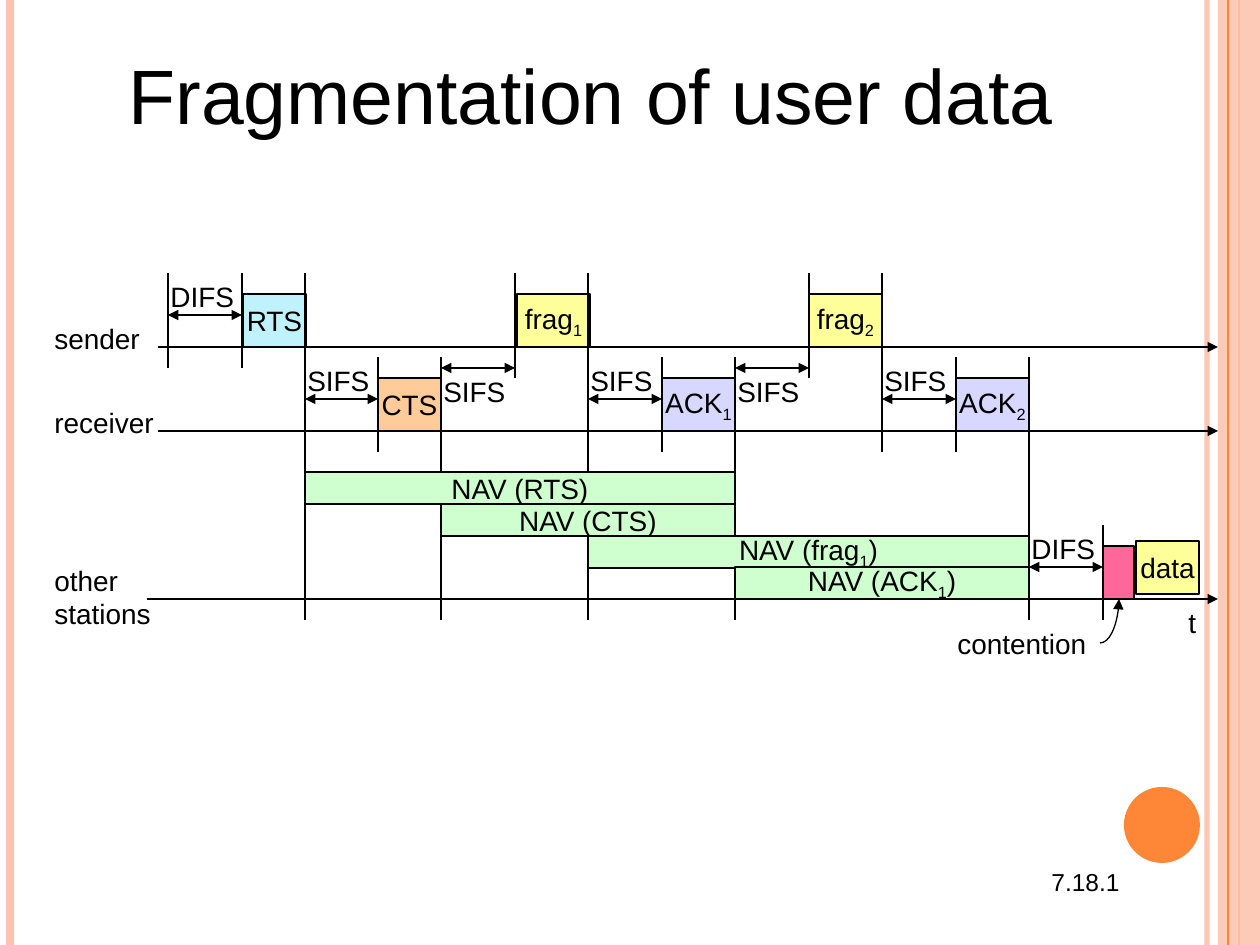
from dataclasses import dataclass
from typing import Any

import pptx
import pptx.dml.color
import pptx.enum.shapes
import pptx.enum.text
import pptx.oxml.ns
import pptx.util
from lxml import etree

UNIT = pptx.util.Inches(1) / 126
COLORS = {
    "black": "000000", "peach": "FEC3AE", "orange": "FE8637",
    "yellow": "FFFF99", "lilac": "D7D7FF", "cyan": "8BE7F9",
    "apricot": "FFCC99", "pink": "FF6699", "green": "CFFFCF",
}
SHAPE = pptx.enum.shapes.MSO_SHAPE
LINK = pptx.enum.shapes.MSO_CONNECTOR
ALIGN = pptx.enum.text.PP_ALIGN
ANCHOR = pptx.enum.text.MSO_ANCHOR
SIZE = pptx.enum.text.MSO_AUTO_SIZE


@dataclass(frozen=True)
class Line:
    x1: int
    y1: int
    x2: int
    y2: int
    color: str = "black"
    width: float = 0.75
    ends: tuple[str, ...] = ()
    alpha: int = 100
    kind: Any = LINK.STRAIGHT


@dataclass(frozen=True)
class Box:
    x: int
    y: int
    w: int
    h: int
    color: str
    text: str = ""
    alpha: int = 100
    edge: bool = True
    kind: Any = SHAPE.RECTANGLE


@dataclass(frozen=True)
class Label:
    x: int
    y: int
    w: int
    h: int
    text: str
    size: int = 16


@dataclass(frozen=True)
class Gap:
    x1: int
    x2: int
    y: int
    text: str
    drop: int = -42


RAILS = [
    Line(1207, 0, 1207, 945, "peach", 3, alpha=93),
    Line(10, 0, 10, 945, "peach", 4.5),
    Line(1239, 0, 1239, 945, "orange", 1.5),
]
BAND = Box(1218, 0, 42, 945, "peach", alpha=87, edge=False)
EDGE = Line(1228, 0, 1228, 945, "orange")
DISC = Box(1124, 787, 76, 76, "orange", edge=False, kind=SHAPE.OVAL)
AXES = [Line(x, y, 1218, y, ends=("tailEnd",))
        for x, y in [(158, 347), (158, 431), (147, 599)]]
FRAMES = [
    Box(243, 294, 63, 53, "cyan", "RTS", 54),
    Box(517, 294, 73, 53, "yellow", "frag_1"),
    Box(809, 294, 73, 53, "yellow", "frag_2"),
    Box(378, 378, 63, 53, "apricot", "CTS"),
    Box(662, 378, 73, 53, "lilac", "ACK_1"),
    Box(956, 378, 73, 53, "lilac", "ACK_2"),
    Box(1103, 546, 31, 53, "pink"),
    Box(1136, 541, 63, 53, "yellow", "data"),
]
MARKS = [Line(x, low, x, top) for x, top, low in [
    (168, 273, 368), (242, 273, 368), (305, 273, 620), (378, 357, 452),
    (441, 357, 620), (515, 273, 378), (588, 273, 620), (662, 357, 452),
    (735, 357, 620), (809, 273, 378), (882, 273, 452), (956, 357, 452),
    (1029, 357, 620), (1103, 525, 620),
]]
NAVS = [Box(x1, round(472.5 + 31.5 * row), x2 - x1, 32, "green", f"NAV ({name})")
        for row, (x1, x2, name) in enumerate([
            (305, 735, "RTS"), (441, 735, "CTS"),
            (588, 1029, "frag_1"), (735, 1029, "ACK_1"),
        ])]
GAPS = [
    Gap(168, 242, 315, "DIFS"), Gap(305, 378, 399, "SIFS"),
    Gap(441, 515, 368, "SIFS", 0), Gap(588, 662, 399, "SIFS"),
    Gap(735, 809, 368, "SIFS", 0), Gap(882, 956, 399, "SIFS"),
    Gap(1029, 1103, 567, "DIFS"),
]
LABELS = [
    Label(42, 315, 120, 47, "sender"),
    Label(42, 399, 134, 47, "receiver"),
    Label(42, 557, 134, 81, "other\nstations"),
    Label(945, 620, 164, 47, "contention"),
    Label(1176, 599, 42, 47, "t"),
    Label(1039, 861, 106, 43, "7.18.1", 14),
]
CURVE = Line(1100, 643, 1119, 599, ends=("tailEnd",), kind=LINK.CURVE)


def px(num: int) -> int:
    return round(num * UNIT)


def rgb(name: str) -> Any:
    return pptx.dml.color.RGBColor.from_string(COLORS[name])


def style(item: Any, form: dict[str, Any]) -> None:
    for key, value in form.items():
        setattr(item, key, value)


def fade(item: Any, alpha: int) -> None:
    if alpha < 100:
        tone = next(item.iter(pptx.oxml.ns.qn("a:srgbClr")))
        etree.SubElement(tone, pptx.oxml.ns.qn("a:alpha"), val=str(alpha * 1000))


def write(frame: Any, text: str, size: int, align: Any, form: dict[str, Any]) -> None:
    style(frame, form)
    for row, words in enumerate(text.split("\n")):
        para = frame.add_paragraph() if row else frame.paragraphs[0]
        para.alignment = align
        base, _, tail = words.partition("_")
        for part, low in [(base, False), (tail[:1], True), (tail[1:], False)]:
            if not part:
                continue
            run = para.add_run()
            run.text = part
            style(run.font, {"name": "Arial", "size": pptx.util.Pt(size), "bold": False})
            run.font.color.rgb = rgb("black")
            if low:
                run.font._element.set("baseline", "-25000")


def draw_line(slide: Any, line: Line) -> Any:
    link = slide.shapes.add_connector(
        line.kind, px(line.x1), px(line.y1), px(line.x2), px(line.y2))
    link.line.width = pptx.util.Pt(line.width)
    link.line.color.rgb = rgb(line.color)
    prop = link._element.spPr
    fade(prop, line.alpha)
    for end in line.ends:
        etree.SubElement(link.line._get_or_add_ln(), pptx.oxml.ns.qn(f"a:{end}"), type="triangle")
    etree.SubElement(prop, pptx.oxml.ns.qn("a:effectLst"))
    return link


def draw_box(slide: Any, box: Box) -> None:
    shape = slide.shapes.add_shape(box.kind, px(box.x), px(box.y), px(box.w), px(box.h))
    shape.shadow.inherit = False
    shape.fill.solid()
    shape.fill.fore_color.rgb = rgb(box.color)
    fade(shape._element.spPr, box.alpha)
    if box.edge:
        shape.line.width = pptx.util.Pt(0.75)
        shape.line.color.rgb = rgb("black")
    else:
        shape.line.fill.background()
    if box.text:
        write(shape.text_frame, box.text, 16, ALIGN.CENTER,
              {"word_wrap": False, "vertical_anchor": ANCHOR.MIDDLE})


def draw_label(slide: Any, label: Label) -> None:
    area = slide.shapes.add_textbox(px(label.x), px(label.y), px(label.w), px(label.h))
    write(area.text_frame, label.text, label.size, ALIGN.LEFT,
          {"word_wrap": True, "auto_size": SIZE.NONE})


def draw_gap(slide: Any, gap: Gap) -> None:
    draw_line(slide, Line(gap.x1, gap.y, gap.x2, gap.y, ends=("headEnd", "tailEnd")))
    draw_label(slide, Label(gap.x1 - 10, gap.y + gap.drop, 97, 47, gap.text))


def main() -> None:
    deck = pptx.Presentation()
    style(deck, {"slide_width": px(1260), "slide_height": px(945)})
    slide = deck.slides.add_slide(deck.slide_layouts[5])
    title = slide.shapes.title
    style(title, {"left": px(116), "top": px(62), "width": px(1071), "height": px(63)})
    write(title.text_frame, "Fragmentation of user data", 44, ALIGN.LEFT,
          {"word_wrap": True, "auto_size": SIZE.NONE, "vertical_anchor": ANCHOR.MIDDLE})
    tools = {Line: draw_line, Box: draw_box, Label: draw_label, Gap: draw_gap}
    for item in [*RAILS, BAND, EDGE, DISC, *AXES, *FRAMES, *MARKS, *NAVS, *GAPS, *LABELS]:
        tools[type(item)](slide, item)
    bend = draw_line(slide, CURVE)
    bend._element.spPr.find(pptx.oxml.ns.qn("a:prstGeom")).set("prst", "curvedConnector2")
    deck.save("out.pptx")


if __name__ == "__main__":
    main()
